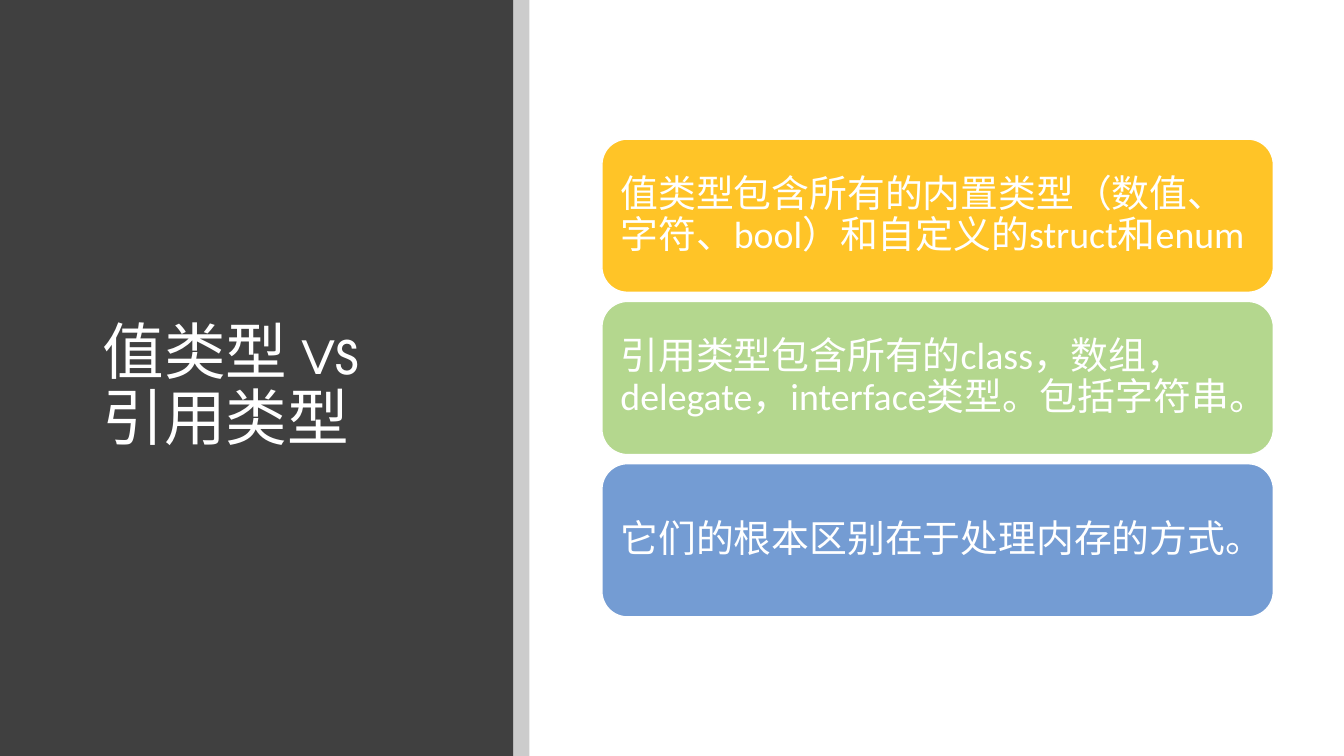
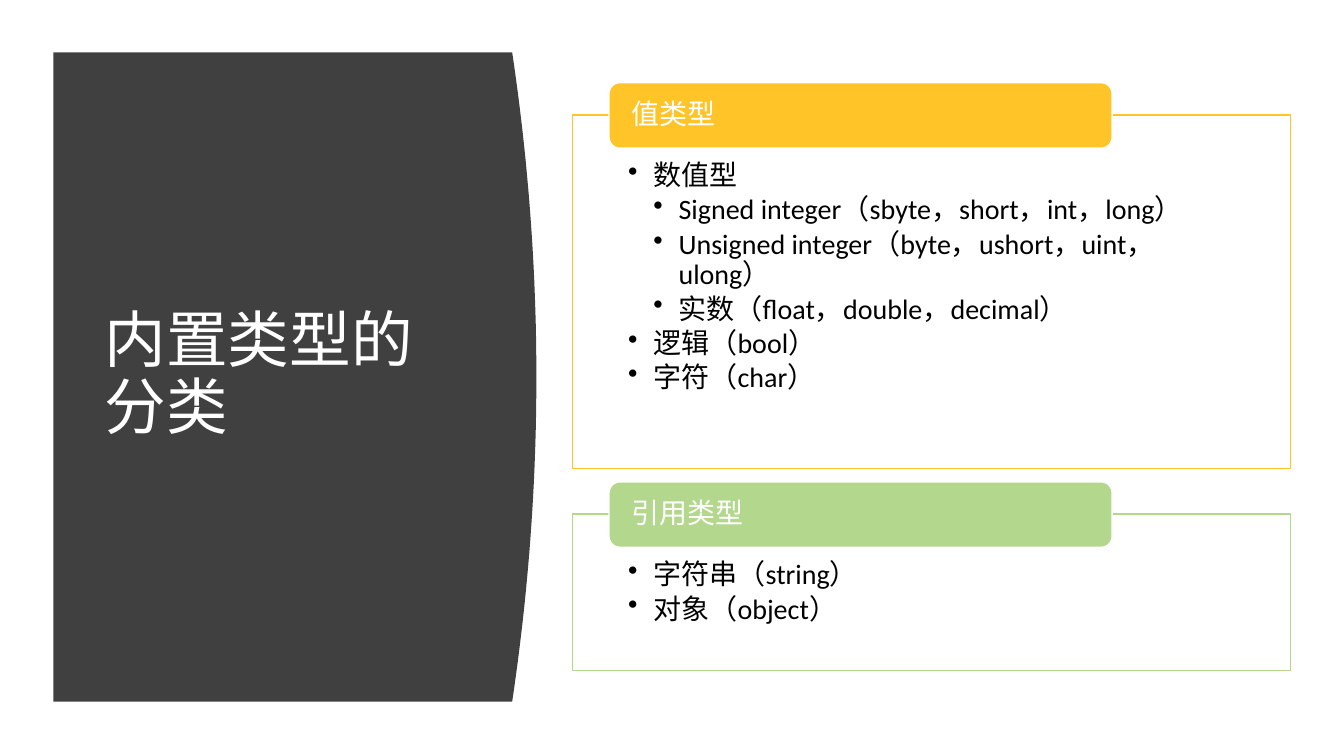
from dataclasses import dataclass

from lxml.etree import SubElement
from pptx import Presentation
from pptx.dml.color import RGBColor as RGB
from pptx.enum.lang import MSO_LANGUAGE_ID as LANG
from pptx.enum.shapes import MSO_SHAPE as SHAPE
from pptx.enum.text import MSO_ANCHOR as ANCHOR, PP_ALIGN as ALIGN
from pptx.oxml.ns import qn
from pptx.util import Inches, Pt


@dataclass(frozen=True)
class Theme:
    """Colours, fonts and type sizes of the deck."""
    dark: str = "404040"
    black: str = "000000"
    white: str = "FFFFFF"
    gold: str = "FFC427"
    green: str = "B4D78E"
    blue: str = "749CD3"
    head_font: str = "TeX Gyre Adventor"
    body_font: str = "Calibri"
    title_pt: int = 44
    card_pt: int = 27
    list_pt: int = 20
    leading: float = 0.9


class Deck:
    """Presentation with its theme and current slide."""

    def __init__(self, theme):
        """Start an empty widescreen deck."""
        self.t = theme
        self.prs = Presentation()
        self.prs.slide_width, self.prs.slide_height = Inches(13.33), Inches(7.5)
        self.s = None

    def slide(self):
        """Add a blank slide and make it current."""
        self.s = self.prs.slides.add_slide(self.prs.slide_layouts[6])

    def paint(self, sp, fill, line=None, opacity=100):
        """Set fill, outline and opacity of a shape."""
        sp.shadow.inherit = False
        sp.fill.solid()
        sp.fill.fore_color.rgb = RGB.from_string(fill)
        if opacity < 100:
            clr = sp.fill._xPr.find(".//" + qn("a:srgbClr"))
            SubElement(clr, qn("a:alpha"), val=str(opacity * 1000))
        if line:
            sp.line.color.rgb = RGB.from_string(line)
            sp.line.width = Pt(1)
        else:
            sp.line.fill.background()

    def shape(self, kind, box, fill, line=None, opacity=100):
        """Add a preset shape."""
        sp = self.s.shapes.add_shape(kind, *map(Inches, box))
        self.paint(sp, fill, line, opacity)
        return sp

    def frame(self, sp, insets, anchor=ANCHOR.MIDDLE):
        """Prepare the text frame of a shape."""
        tf = sp.text_frame
        tf.word_wrap = True
        tf.vertical_anchor = anchor
        tf.margin_left = tf.margin_right = Inches(insets[0])
        tf.margin_top, tf.margin_bottom = Inches(insets[1]), Inches(insets[2])
        return tf

    def run(self, p, text, size, color, font):
        """Add one run to a paragraph."""
        p.alignment = ALIGN.LEFT
        p.line_spacing = self.t.leading
        r = p.add_run()
        r.text = text
        r.font.name, r.font.size = font, Pt(size)
        r.font.color.rgb = RGB.from_string(color)
        r.font.language_id = LANG.SIMPLIFIED_CHINESE

    def title(self, box, *lines):
        """Add the slide title in white."""
        sp = self.s.shapes.add_textbox(*map(Inches, box))
        p = self.frame(sp, (0.1, 0.05, 0.05)).paragraphs[0]
        for i, line in enumerate(lines):
            if i:
                p.add_line_break()
            self.run(p, line, self.t.title_pt, self.t.white, self.t.head_font)

    def card(self, box, text, fill, size, insets):
        """Add a rounded card with white text."""
        sp = self.shape(SHAPE.ROUNDED_RECTANGLE, box, fill, self.t.white)
        p = self.frame(sp, insets).paragraphs[0]
        self.run(p, text, size, self.t.white, self.t.body_font)

    def bullets(self, sp, items):
        """Fill a shape with bulleted (level, text) items."""
        tf = self.frame(sp, (0.55, 0.46, 0.16), ANCHOR.TOP)
        for i, (level, text) in enumerate(items):
            p = tf.add_paragraph() if i else tf.paragraphs[0]
            pPr = p._p.get_or_add_pPr()
            pPr.set("marL", str(Inches(0.25 * level)))
            pPr.set("indent", str(Inches(-0.25)))
            SubElement(pPr, qn("a:buChar"), char="•")
            p.level = level
            p.space_after = Pt(0.15 * self.t.list_pt)
            self.run(p, text, self.t.list_pt, self.t.black, self.t.body_font)

    def section(self, top, height, heading, color, items):
        """Add an outlined list with a heading tab on its top edge."""
        sp = self.shape(SHAPE.RECTANGLE, (5.68, top, 7.12, height),
                        self.t.white, color, 90)
        self.bullets(sp, items)
        self.card((6.04, top - 0.32, 4.99, 0.65), heading, color,
                  self.t.list_pt, (0.19, 0, 0))

    def curved_panel(self, left, top, edge, height, bulge, steps=48):
        """Add a dark panel whose right edge bows outward."""
        arc = [(edge + bulge * (1 - (2 * i / steps - 1) ** 2),
                top + height * i / steps) for i in range(steps + 1)]
        fb = self.s.shapes.build_freeform(Inches(left), Inches(top))
        points = arc + [(left, top + height)]
        fb.add_line_segments([(Inches(x), Inches(y)) for x, y in points])
        self.paint(fb.convert_to_shape(), self.t.dark)


def main():
    """Build both slides and save the deck."""
    t = Theme()
    d = Deck(t)

    d.slide()
    d.shape(SHAPE.RECTANGLE, (0, 0, 5.09, 7.5), t.dark)
    d.shape(SHAPE.RECTANGLE, (5.09, 0, 0.16, 7.5), t.black, opacity=20)
    d.title((0.92, 0.89, 3.65, 5.91), "值类型 vs", "引用类型")
    cards = [
        ("值类型包含所有的内置类型（数值、字符、bool）和自定义的struct和enum", t.gold),
        ("引用类型包含所有的class，数组，delegate，interface类型。包括字符串。", t.green),
        ("它们的根本区别在于处理内存的方式。", t.blue),
    ]
    for i, (text, fill) in enumerate(cards):
        d.card((5.97, 1.38 + 1.61 * i, 6.66, 1.52), text, fill,
               t.card_pt, (0.11, 0.11, 0.11))

    d.slide()
    d.curved_panel(0.53, 0.52, 5.08, 6.44, 0.24)
    d.title((0.94, 1.11, 3.74, 5.24), "内置类型的分类")
    d.section(1.14, 3.51, "值类型", t.gold, [
        (1, "数值型"),
        (2, "Signed integer（sbyte，short，int，long）"),
        (2, "Unsigned integer（byte，ushort，uint，ulong）"),
        (2, "实数（float，double，decimal）"),
        (1, "逻辑（bool）"),
        (1, "字符（char）"),
    ])
    d.section(5.1, 1.55, "引用类型", t.green, [
        (1, "字符串（string）"),
        (1, "对象（object）"),
    ])

    d.prs.save("out.pptx")


if __name__ == "__main__":
    main()
